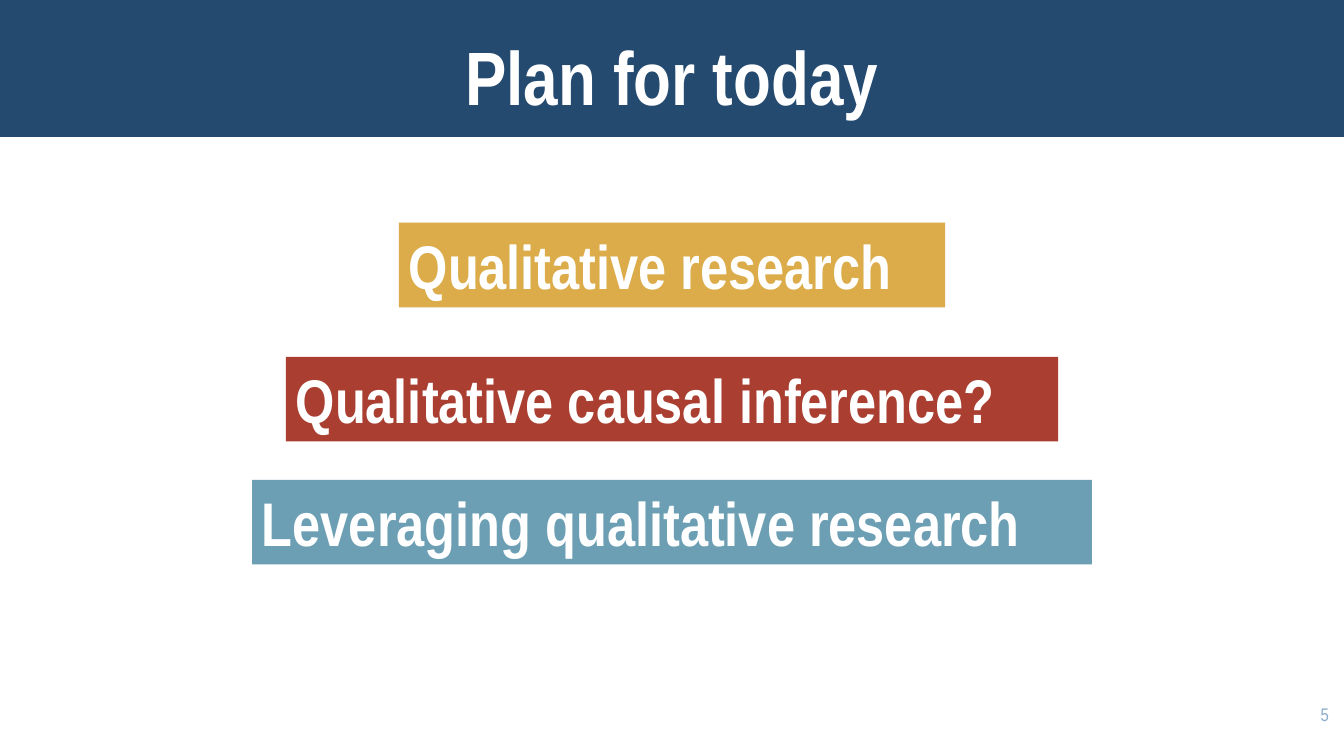
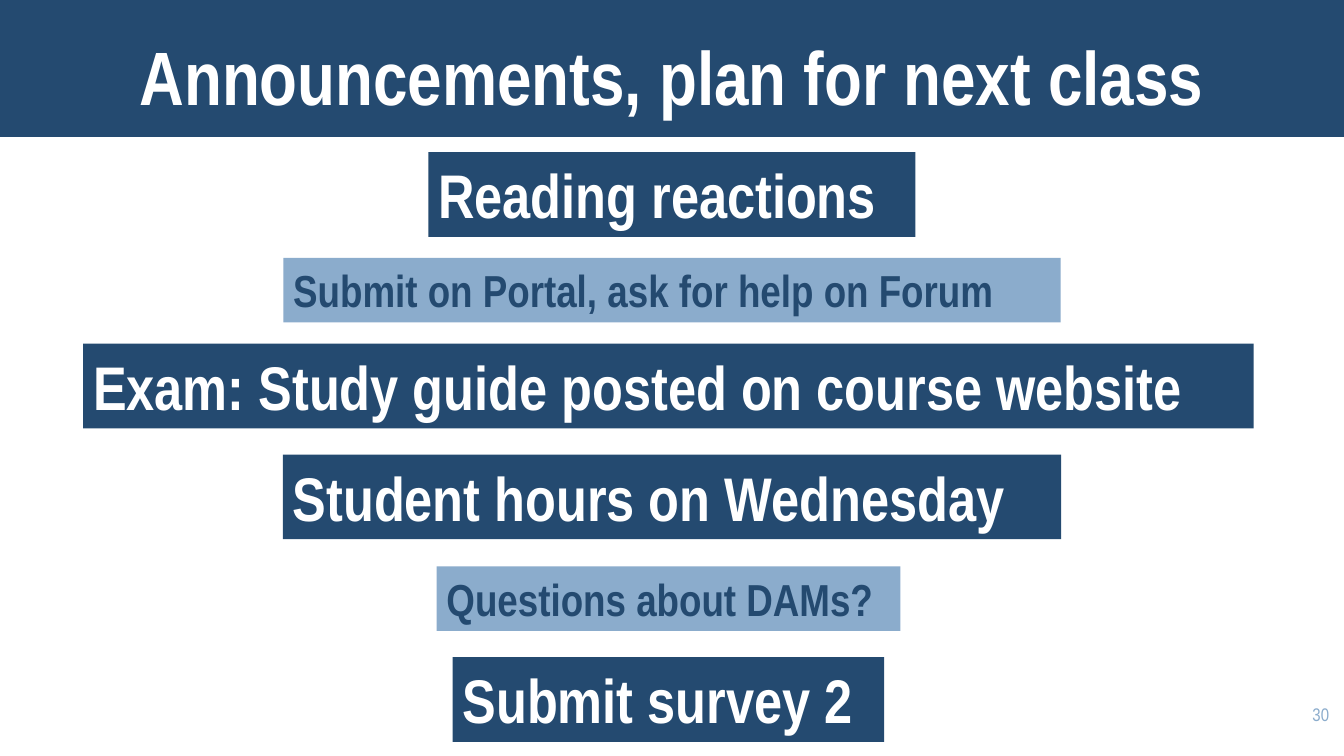
from dataclasses import dataclass

from pptx import Presentation
from pptx.dml.color import RGBColor as Rgb
from pptx.enum.shapes import MSO_SHAPE as Shape
from pptx.enum.text import MSO_ANCHOR as Anchor, PP_ALIGN as Align
from pptx.slide import Slide
from pptx.util import Inches, Pt

WIDE, HIGH = 13.33, 7.5
FONT = "Arial Narrow"
COLORS = {
    "navy": "244A70",
    "sky": "8BACCC",
    "gold": "DBAC49",
    "red": "A93E31",
    "teal": "6C9FB4",
    "white": "FFFFFF",
}


@dataclass(frozen=True)
class Style:
    size: int
    color: str
    high: float


BIG = Style(44, "white", 0.84)
SMALL = Style(32, "navy", 0.64)


@dataclass(frozen=True)
class Label:
    text: str
    top: float
    wide: float
    fill: str = "navy"
    style: Style = BIG
    mid: float = WIDE / 2


@dataclass(frozen=True)
class Page:
    title: str
    number: int
    labels: tuple[Label, ...]


PAGES = (
    Page("Plan for today", 5, (
        Label("Qualitative research", 2.21, 5.42, "gold"),
        Label("Qualitative causal inference?", 3.54, 7.66, "red"),
        Label("Leveraging qualitative research", 4.76, 8.33, "teal"),
    )),
    Page("Announcements, plan for next class", 30, (
        Label("Reading reactions", 1.51, 4.83),
        Label("Submit on Portal, ask for help on Forum", 2.56, 7.71, "sky", SMALL),
        Label("Exam: Study guide posted on course website", 3.41, 11.61, mid=6.63),
        Label("Student hours on Wednesday", 4.51, 7.72),
        Label("Questions about DAMs?", 5.62, 4.6, "sky", SMALL, 6.63),
        Label("Submit survey 2", 6.52, 4.28, mid=6.63),
    )),
)


def paint(shape, color: str) -> None:
    shape.fill.solid()
    shape.fill.fore_color.rgb = Rgb.from_string(COLORS[color])


def write(slide: Slide, text: str, left: float, top: float, wide: float,
          high: float, size: int, color: str, bold: bool = True,
          align: Align = Align.LEFT, anchor: Anchor = Anchor.TOP):
    box = slide.shapes.add_textbox(
        Inches(left), Inches(top), Inches(wide), Inches(high))
    frame = box.text_frame
    frame.word_wrap = True
    frame.vertical_anchor = anchor
    para = frame.paragraphs[0]
    para.alignment = align
    run = para.add_run()
    run.text = text
    font = run.font
    font.name, font.size, font.bold = FONT, Pt(size), bold
    font.color.rgb = Rgb.from_string(COLORS[color])
    return box


def frame_page(slide: Slide, page: Page) -> None:
    # Title band
    band = slide.shapes.add_shape(
        Shape.RECTANGLE, 0, 0, Inches(WIDE), Inches(1.36))
    band.shadow.inherit = False
    band.line.fill.background()
    paint(band, "navy")
    write(slide, page.title, 0, -0.11, WIDE, 1.36, 54, "white",
          align=Align.CENTER, anchor=Anchor.BOTTOM)
    # Page number
    write(slide, str(page.number), 12.48, 6.93, 0.8, 0.57, 13, "sky",
          bold=False, align=Align.RIGHT)


def add_label(slide: Slide, label: Label) -> None:
    style = label.style
    box = write(slide, label.text, label.mid - label.wide / 2, label.top,
                label.wide, style.high, style.size, style.color)
    paint(box, label.fill)


def main() -> None:
    deck = Presentation()
    deck.slide_width, deck.slide_height = Inches(WIDE), Inches(HIGH)
    for page in PAGES:
        slide = deck.slides.add_slide(deck.slide_layouts[6])
        frame_page(slide, page)
        for label in page.labels:
            add_label(slide, label)
    deck.save("out.pptx")


if __name__ == "__main__":
    main()
